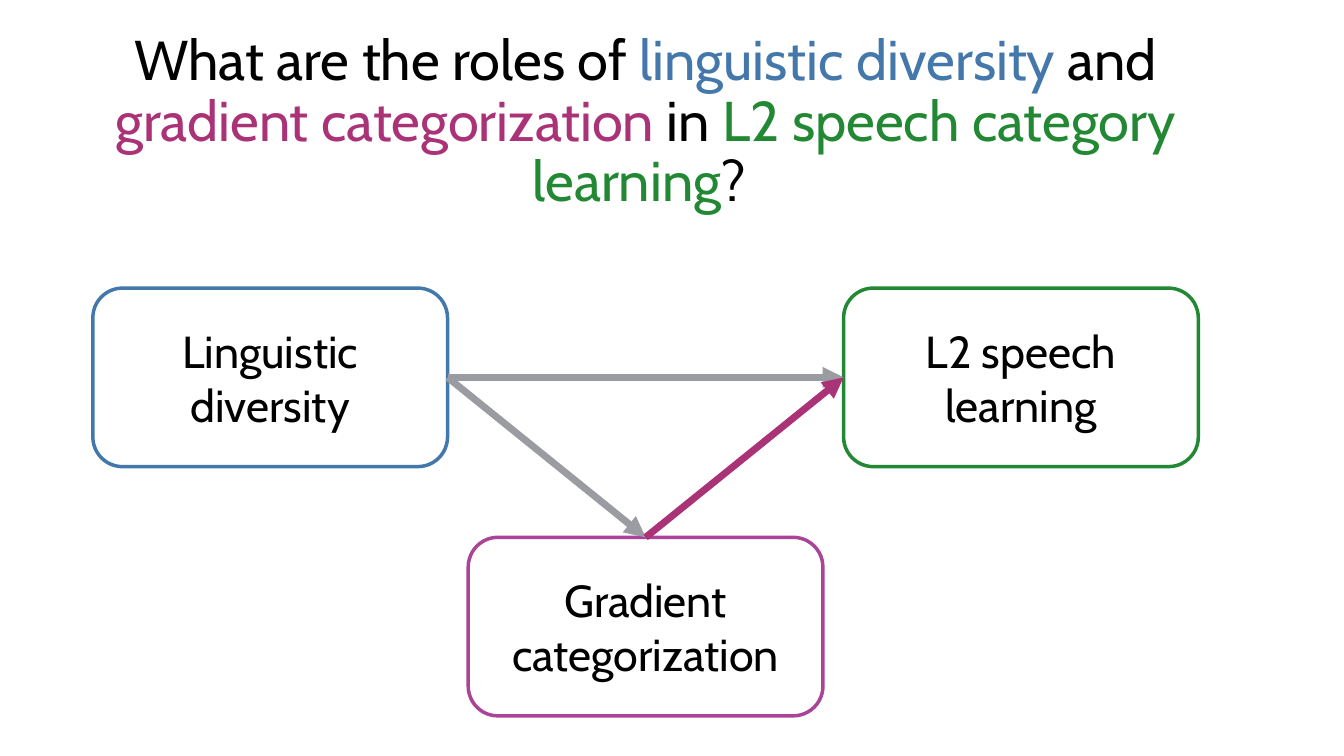
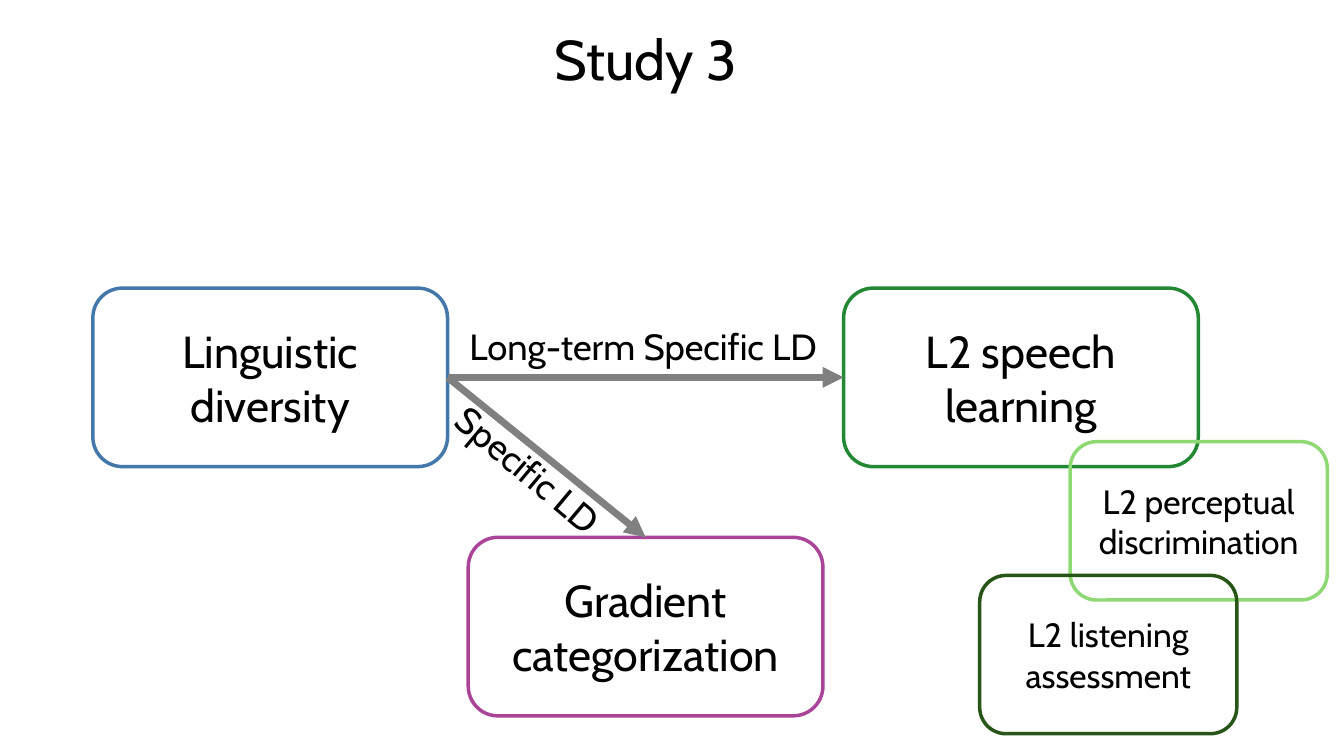
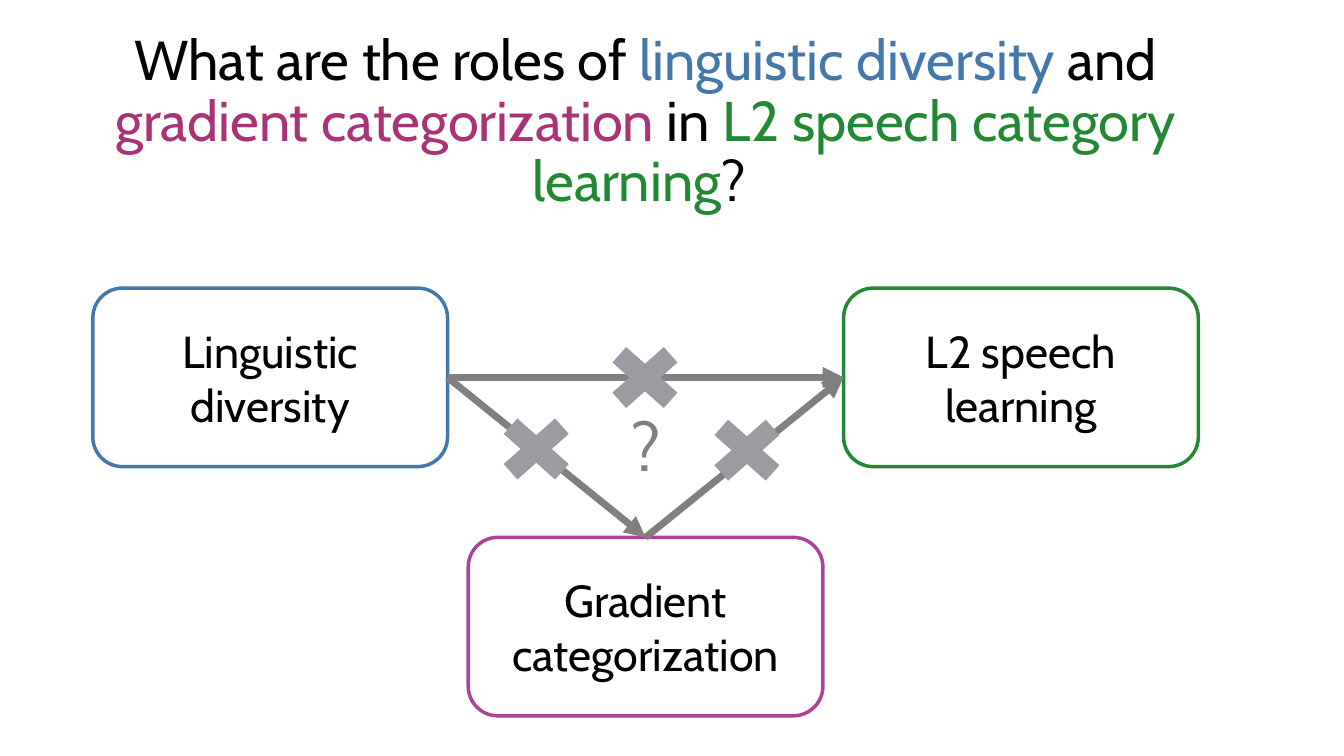
from collections import namedtuple

from lxml import etree
from pptx import Presentation
from pptx import util as u
from pptx.dml.color import RGBColor
from pptx.enum import shapes, text
from pptx.oxml import ns

FONT = "Cabin"
BLACK = RGBColor(0x00, 0x00, 0x00)
WHITE = RGBColor(0xFF, 0xFF, 0xFF)
BLUE = RGBColor(0x44, 0x77, 0xAA)
GREEN = RGBColor(0x22, 0x88, 0x33)
PURPLE = RGBColor(0xAA, 0x44, 0x99)
MAGENTA = RGBColor(0xAA, 0x33, 0x77)
LIGHT_GREEN = RGBColor(0x8E, 0xD9, 0x73)
DARK_GREEN = RGBColor(0x27, 0x54, 0x17)
SILVER = RGBColor(0x9B, 0x9C, 0xA1)
GRAY = RGBColor(0x80, 0x80, 0x80)

TOP, LEFT, RIGHT = 0, 1, 3

Area = namedtuple("Area", "left top width height")
TITLE_AREA = Area(1.17, 0.69, 30.2, 4.32)
DIAGRAM_AREA = Area(2.34, 7.26, 27.86, 10.78)
CONCEPT_SIZE = (8.94, 4.5)
MEASURE_SIZE = (6.48, 3.99)
CROSS_SIZE = (2.49, 2.21)

QUESTION = [
    ("What are the roles of ", BLACK),
    ("linguistic diversity", BLUE),
    (" and ", BLACK),
    ("gradient categorization", MAGENTA),
    (" in ", BLACK),
    ("L2 speech category learning", GREEN),
    ("? ", BLACK),
]


def lengths(*values):
    return [u.Cm(value) for value in values]


def style(span, size, color=BLACK):
    span.font.name = FONT
    span.font.size = u.Pt(size)
    span.font.color.rgb = color


def add_title(page, area, parts):
    title = page.shapes.title
    title.left, title.top, title.width, title.height = lengths(*area)
    frame = title.text_frame
    frame.auto_size = text.MSO_AUTO_SIZE.NONE
    frame.vertical_anchor = text.MSO_ANCHOR.TOP
    para = frame.paragraphs[0]
    para.alignment = text.PP_ALIGN.CENTER
    para.line_spacing = 0.9
    for words, color in parts:
        span = para.add_run()
        span.text = words
        style(span, 40, color)


def add_box(page, left, top, size, words, color, points, fill=None):
    box = page.shapes.add_shape(
        shapes.MSO_SHAPE.ROUNDED_RECTANGLE, *lengths(left, top, *size))
    box.shadow.inherit = False
    if fill is None:
        box.fill.background()
    else:
        box.fill.solid()
        box.fill.fore_color.rgb = fill
    box.line.color.rgb = color
    box.line.width = u.Pt(2.5)
    frame = box.text_frame
    frame.text = words
    frame.vertical_anchor = text.MSO_ANCHOR.MIDDLE
    para = frame.paragraphs[0]
    para.alignment = text.PP_ALIGN.CENTER
    style(para.runs[0], points)
    return box


def add_arrow(page, start, start_side, end, end_side, color):
    arrow = page.shapes.add_connector(shapes.MSO_CONNECTOR.STRAIGHT, 0, 0, 0, 0)
    arrow.begin_connect(start, start_side)
    arrow.end_connect(end, end_side)
    arrow.line.color.rgb = color
    arrow.line.width = u.Pt(5)
    etree.SubElement(arrow.line._get_or_add_ln(), ns.qn("a:tailEnd"), type="triangle")
    etree.SubElement(arrow._element.spPr, ns.qn("a:effectLst"))


def add_label(page, left, top, width, height, words, size,
              color=BLACK, rotation=0, wrap=False):
    label = page.shapes.add_textbox(*lengths(left, top, width, height))
    label.rotation = rotation
    frame = label.text_frame
    frame.word_wrap = wrap
    frame.auto_size = text.MSO_AUTO_SIZE.SHAPE_TO_FIT_TEXT
    frame.text = words
    style(frame.paragraphs[0].runs[0], size, color)


def add_cross(page, left, top):
    cross = page.shapes.add_shape(
        shapes.MSO_SHAPE.MATH_MULTIPLY, *lengths(left, top, *CROSS_SIZE))
    cross.shadow.inherit = False
    cross.fill.solid()
    cross.fill.fore_color.rgb = SILVER
    cross.line.fill.background()


def add_diagram(page, area, color, mediation_color=None):
    width, height = CONCEPT_SIZE
    far_left = area.left + area.width - width
    middle_left = area.left + (area.width - width) / 2
    low_top = area.top + area.height - height
    diversity, learning, gradient = [
        add_box(page, left, top, CONCEPT_SIZE, words, outline, 32, WHITE)
        for left, top, words, outline in (
            (area.left, area.top, "Linguistic diversity", BLUE),
            (far_left, area.top, "L2 speech learning", GREEN),
            (middle_left, low_top, "Gradient categorization", PURPLE),
        )
    ]
    add_arrow(page, diversity, RIGHT, learning, LEFT, color)
    add_arrow(page, diversity, RIGHT, gradient, TOP, color)
    if mediation_color is not None:
        add_arrow(page, gradient, TOP, learning, LEFT, mediation_color)


def add_findings(page, area):
    add_label(page, area.left + 8.51, area.top + 3.94, 5.03, 1.37,
              "Specific LD", 26, rotation=40)
    add_label(page, area.left + 9.24, area.top + 0.79, 9.35, 1.37,
              "Long-term Specific LD", 26)
    for left, top, words, color in (
        (24.63, 3.87, "L2 perceptual discrimination", LIGHT_GREEN),
        (22.35, 7.24, "L2 listening assessment", DARK_GREEN),
    ):
        add_box(page, area.left + left, area.top + top, MEASURE_SIZE, words, color, 24)


def add_doubts(page, area):
    add_label(page, area.left + 13.33, area.top + 2.8, 1.19, 2.31,
              "?", 48, GRAY, wrap=True)
    for left, top in ((9.93, 2.95), (12.67, 1.15), (15.24, 2.98)):
        add_cross(page, area.left + left, area.top + top)


def add_page(deck, title_parts, color, mediation_color=None):
    page = deck.slides.add_slide(deck.slide_layouts[5])
    add_title(page, TITLE_AREA, title_parts)
    add_diagram(page, DIAGRAM_AREA, color, mediation_color)
    return page


def main():
    deck = Presentation()
    deck.slide_width, deck.slide_height = lengths(33.87, 19.05)
    add_page(deck, QUESTION, SILVER, MAGENTA)
    study = add_page(deck, [("Study 3", BLACK)], GRAY)
    add_findings(study, DIAGRAM_AREA)
    outcome = add_page(deck, QUESTION, GRAY, GRAY)
    add_doubts(outcome, DIAGRAM_AREA)
    deck.save("out.pptx")


if __name__ == "__main__":
    main()
